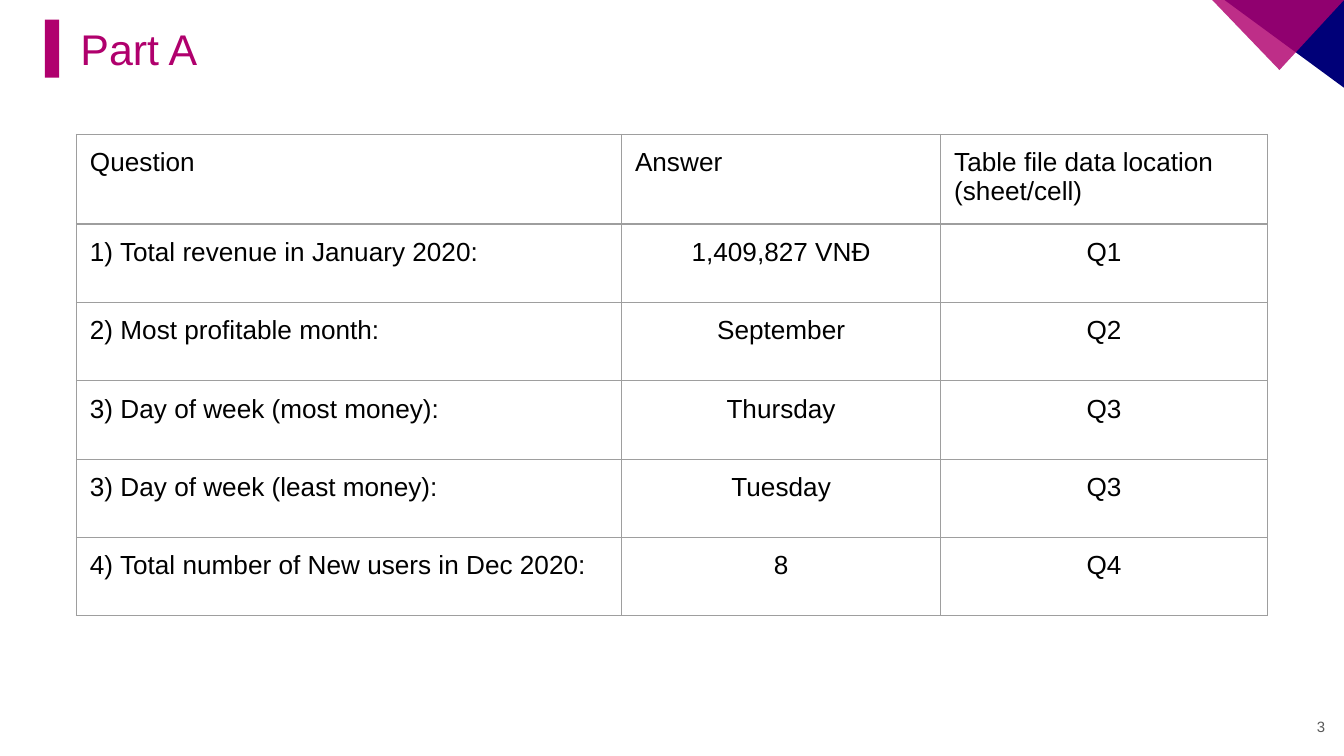
"""Build the Part A answers slide: corner accents, title and question table."""
from dataclasses import dataclass

from lxml import etree
from pptx import Presentation
from pptx.dml import color as c
from pptx.enum import shapes, text
from pptx.oxml import ns
from pptx.util import Pt

FONT = "Arial"
MAGENTA = "B0006E"
INSET = 7.2
LEFT, CENTER, RIGHT = text.PP_ALIGN.LEFT, text.PP_ALIGN.CENTER, text.PP_ALIGN.RIGHT


@dataclass
class Accent:
    kind: shapes.MSO_SHAPE
    left: float
    top: float
    width: float
    height: float
    colour: str
    rotation: float = 0
    apex: float | None = None
    opacity: int = 100


@dataclass
class Answer:
    question: str
    answer: str
    location: str


ACCENTS = [
    Accent(shapes.MSO_SHAPE.RECTANGLE, 24, 10.6, 7.7, 31, MAGENTA),
    Accent(shapes.MSO_SHAPE.RIGHT_TRIANGLE, 656, 0, 64, 47, "000078", rotation=180),
    Accent(shapes.MSO_SHAPE.ISOSCELES_TRIANGLE, 649.4, 0, 70.6, 37.5, MAGENTA,
           rotation=180, apex=0.49, opacity=82),
]
ANSWERS = [
    Answer("Question", "Answer", "Table file data location (sheet/cell)"),
    Answer("1) Total revenue in January 2020:", "1,409,827 VNĐ", "Q1"),
    Answer("2) Most profitable month:", "September", "Q2"),
    Answer("3) Day of week (most money):", "Thursday", "Q3"),
    Answer("3) Day of week (least money):", "Tuesday", "Q3"),
    Answer("4) Total number of New users in Dec 2020:", "8", "Q4"),
]
COLUMN_WIDTHS = [292, 171, 175]
ROW_HEIGHT = 42


def paint(fill, colour: str, opacity: int = 100) -> None:
    fill.solid()
    fill.fore_color.rgb = c.RGBColor.from_string(colour)
    if opacity < 100:
        tint = fill._xPr.find(".//" + ns.qn("a:srgbClr"))
        etree.SubElement(tint, ns.qn("a:alpha"), val=str(opacity * 1000))


def write(frame, words: str, *, size: float, colour: str = "000000", align=LEFT) -> None:
    frame.word_wrap = True
    para = frame.paragraphs[0]
    para.alignment = align
    span = para.add_run()
    span.text = words
    span.font.name = FONT
    span.font.size = Pt(size)
    paint(span.font.fill, colour)


def add_text(page, words: str, left: float, top: float, width: float, height: float,
             **style) -> None:
    frame = page.shapes.add_textbox(Pt(left), Pt(top), Pt(width), Pt(height)).text_frame
    frame.margin_left = frame.margin_right = Pt(INSET)
    frame.margin_top = frame.margin_bottom = Pt(INSET)
    frame.vertical_anchor = text.MSO_ANCHOR.MIDDLE
    write(frame, words, **style)


def add_accent(page, accent: Accent) -> None:
    shape = page.shapes.add_shape(accent.kind, Pt(accent.left), Pt(accent.top),
                                  Pt(accent.width), Pt(accent.height))
    shape.shadow.inherit = False
    shape.rotation = accent.rotation
    if accent.apex is not None:
        shape.adjustments[0] = accent.apex
    paint(shape.fill, accent.colour, accent.opacity)
    shape.line.fill.background()


def add_borders(cell, colour: str, width: float) -> None:
    properties = cell._tc.get_or_add_tcPr()
    for position, side in enumerate(("lnL", "lnR", "lnT", "lnB")):
        line = etree.Element(ns.qn(f"a:{side}"), w=str(Pt(width)))
        fill = etree.SubElement(line, ns.qn("a:solidFill"))
        etree.SubElement(fill, ns.qn("a:srgbClr"), val=colour)
        properties.insert(position, line)


def add_answers(page, answers: list[Answer], left: float, top: float) -> None:
    frame = page.shapes.add_table(len(answers), len(COLUMN_WIDTHS), Pt(left), Pt(top),
                                  Pt(sum(COLUMN_WIDTHS)), Pt(ROW_HEIGHT * len(answers)))
    table = frame.table
    table.first_row = table.horz_banding = False
    for column, width in zip(table.columns, COLUMN_WIDTHS):
        column.width = Pt(width)
    for number, (row, entry) in enumerate(zip(table.rows, answers)):
        row.height = Pt(ROW_HEIGHT)
        words = (entry.question, entry.answer, entry.location)
        for index, (cell, content) in enumerate(zip(row.cells, words)):
            cell.margin_left = cell.margin_right = Pt(INSET)
            cell.margin_top = cell.margin_bottom = Pt(INSET)
            cell.fill.background()
            add_borders(cell, "9E9E9E", 0.75)
            write(cell.text_frame, content, size=14,
                  align=CENTER if number and index else LEFT)


def main() -> None:
    deck = Presentation()
    deck.slide_width, deck.slide_height = Pt(720), Pt(405)
    page = deck.slides.add_slide(deck.slide_layouts[6])
    for accent in ACCENTS:
        add_accent(page, accent)
    add_text(page, "Part A", 36, 10.6, 630, 31, size=23, colour="B0006D")
    add_answers(page, ANSWERS, 41, 72)
    add_text(page, "3", 674, 374, 43, 31, size=8, colour="595959", align=RIGHT)
    deck.save("out.pptx")


if __name__ == "__main__":
    main()
